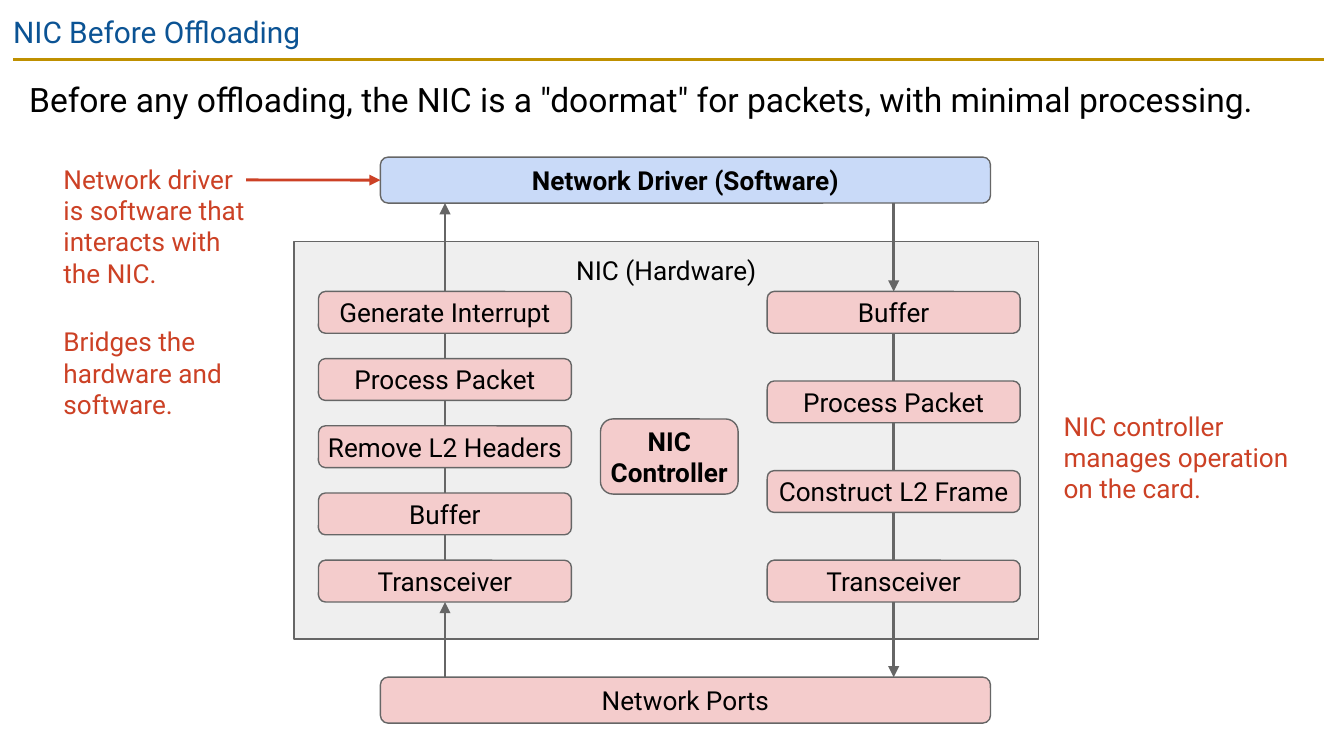
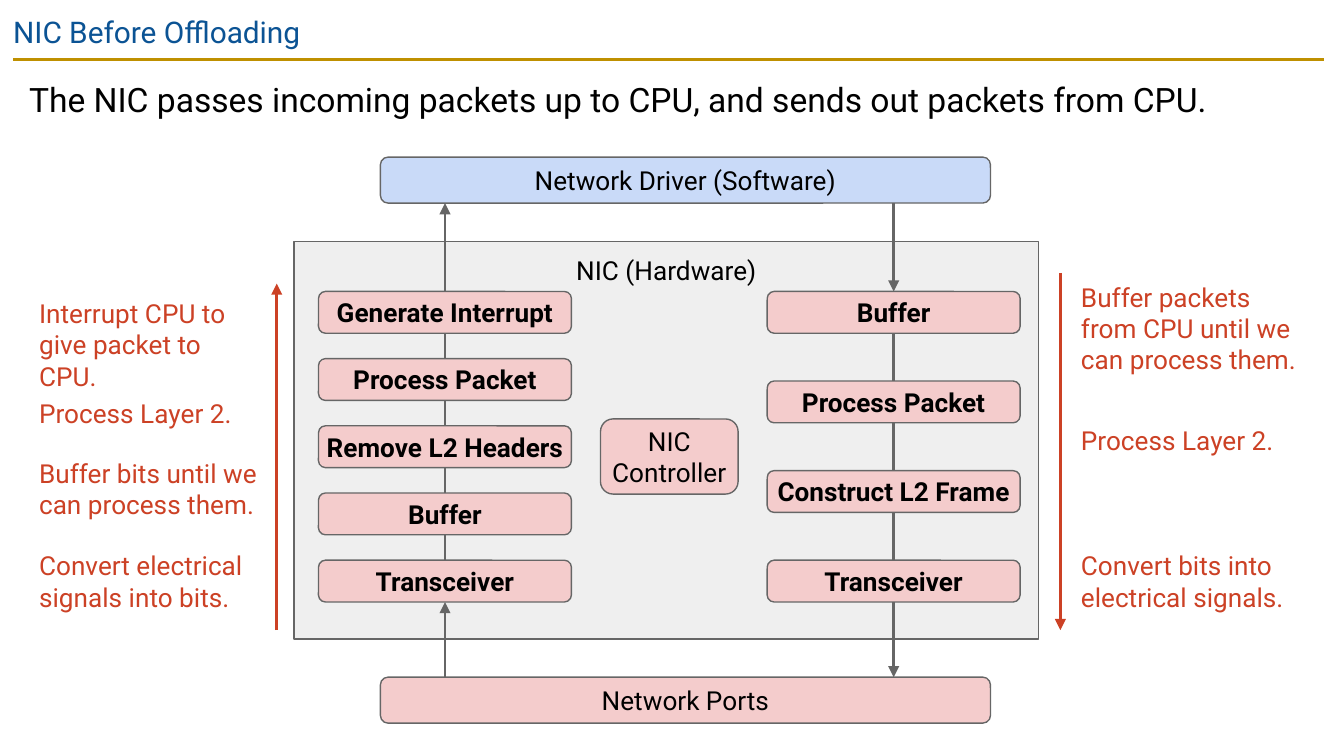
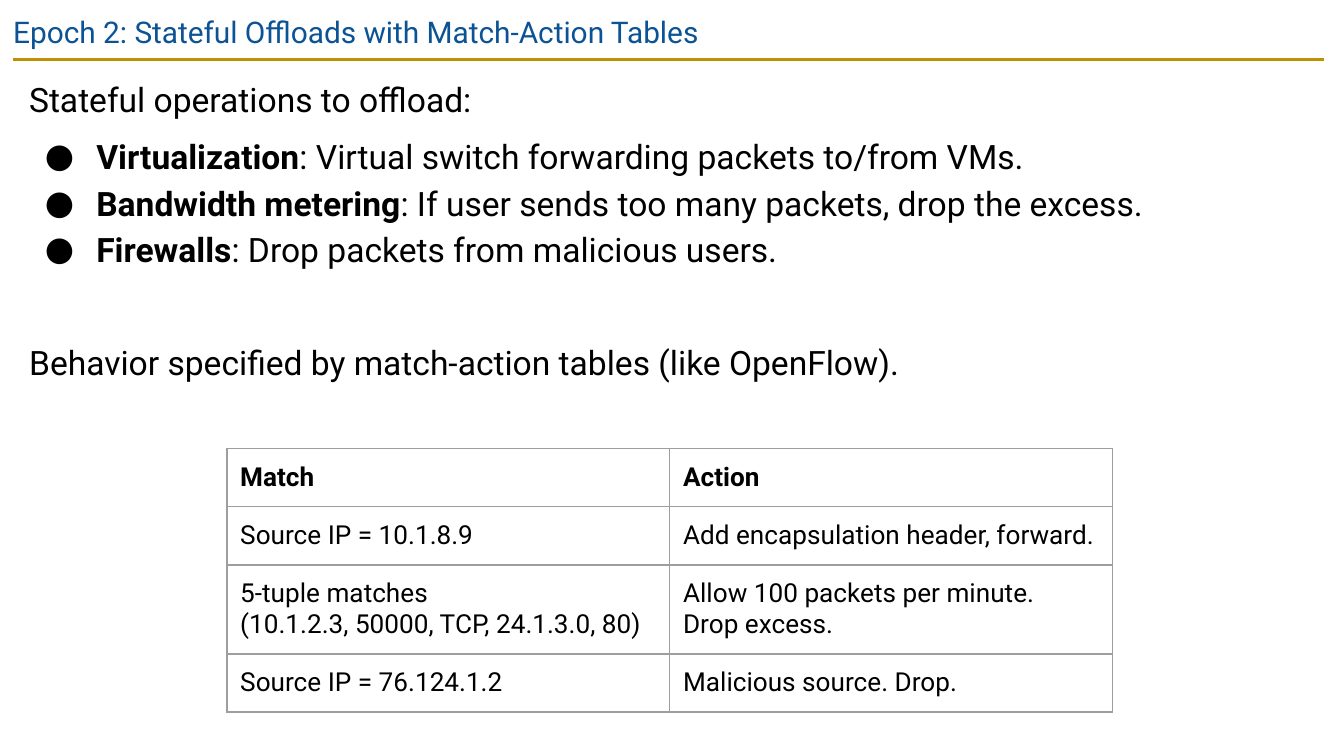
from lxml import etree
from pptx import Presentation
from pptx.dml.color import RGBColor
from pptx.enum.shapes import MSO_CONNECTOR as CXN, MSO_SHAPE as SHAPE
from pptx.enum.text import MSO_ANCHOR as ANCHOR, MSO_AUTO_SIZE as AUTO, PP_ALIGN as ALIGN
from pptx.oxml.ns import qn
from pptx.util import Cm, Pt

COLORS = {
    "title": "0B5394", "rule": "BF9000", "text": "000000", "note": "CC4125",
    "outline": "666666", "card": "EFEFEF", "hardware": "F4CCCC",
    "software": "C9DAF8", "grid": "9E9E9E",
}
FONT = "Roboto"
TOP, LEFT, BOTTOM = 0, 1, 2  # connection sites

# Diagram geometry in cm
BAR_X, BAR_W, BAR_H = 7.19, 11.53, 0.87
DRIVER_Y, PORTS_Y = 2.97, 12.8
STEP_W, STEP_H = 4.78, 0.79
FIRST_STEP_Y, LAST_STEP_Y = 5.51, 10.59

RECEIVE = ["Generate Interrupt", "Process Packet", "Remove L2 Headers", "Buffer", "Transceiver"]
SEND = ["Buffer", "Process Packet", "Construct L2 Frame", "Transceiver"]


def rgb(name):
    return RGBColor.from_string(COLORS[name])


class Deck:
    def __init__(self):
        self.prs = Presentation()
        self.prs.slide_width, self.prs.slide_height = Cm(25.4), Cm(14.29)
        self.layout = self.prs.slide_layouts[1]
        self.s = None

    def slide(self, title):
        first = self.s is None
        self.s = self.prs.slides.add_slide(self.layout)
        if first:
            self.add_rule_to_layout()
        tf = self.place(self.s.shapes.title, 0, 0, 25.4, 1.09)
        tf.text = title
        self.style(tf, 16, "title", align=ALIGN.LEFT)

    def add_rule_to_layout(self):
        rule = self.line(0.25, 1.12, 25.02, 1.12, "rule")
        self.layout.shapes.element.append(rule.element)

    def place(self, sp, x, y, w, h):
        """Position a placeholder and return its prepared text frame."""
        sp.left, sp.top, sp.width, sp.height = Cm(x), Cm(y), Cm(w), Cm(h)
        return self.frame(sp.text_frame, 0.25)

    def frame(self, tf, inset, anchor=ANCHOR.TOP, auto=AUTO.NONE):
        tf.margin_left = tf.margin_right = tf.margin_top = tf.margin_bottom = Cm(inset)
        tf.word_wrap, tf.auto_size, tf.vertical_anchor = True, auto, anchor
        return tf

    def style(self, tf, size=14, color="text", bold=False, align=None):
        for p in tf.paragraphs:
            p.alignment = align
            for r in p.runs:
                self.style_run(r, size, color, bold)

    def style_run(self, r, size, color="text", bold=False):
        r.font.name, r.font.size, r.font.bold = FONT, Pt(size), bold
        r.font.color.rgb = rgb(color)

    def body(self, paragraphs, height=1.68):
        """Fill the body from (text, is_bullet, space_before); bullets get a bold lead."""
        tf = self.place(self.s.placeholders[1], 0.3, 1.12, 24.74, height)
        for i, (text, bullet, before) in enumerate(paragraphs):
            p = tf.add_paragraph() if i else tf.paragraphs[0]
            p.line_spacing, p.space_before = 1.15, Pt(before)
            lead, colon, rest = text.partition(":") if bullet else ("", "", text)
            for part, bold in ((lead, True), (colon + rest, False)):
                if part:
                    r = p.add_run()
                    r.text = part
                    self.style_run(r, 18, bold=bold)
            self.bullet(p, bullet)

    def bullet(self, p, shown):
        pPr = p._p.get_or_add_pPr()
        pPr.set("marL", str(Cm(1.27) if shown else 0))
        pPr.set("indent", str(Cm(-0.97) if shown else 0))
        if shown:
            clr = etree.SubElement(pPr, qn("a:buClr"))
            etree.SubElement(clr, qn("a:srgbClr"), val=COLORS["text"])
            etree.SubElement(pPr, qn("a:buFont"), typeface=FONT)
            etree.SubElement(pPr, qn("a:buChar"), char="●")
        else:
            etree.SubElement(pPr, qn("a:buNone"))

    def box(self, text, x, y, w, h, fill="hardware", bold=False, shape=SHAPE.ROUNDED_RECTANGLE,
            inset=0.08, anchor=ANCHOR.MIDDLE):
        sp = self.s.shapes.add_shape(shape, Cm(x), Cm(y), Cm(w), Cm(h))
        sp.shadow.inherit = False
        sp.fill.solid()
        sp.fill.fore_color.rgb = rgb(fill)
        sp.line.color.rgb, sp.line.width = rgb("outline"), Pt(0.75)
        tf = self.frame(sp.text_frame, inset, anchor)
        tf.text = text
        self.style(tf, bold=bold, align=ALIGN.CENTER)
        return sp

    def line(self, x1, y1, x2, y2, color="outline", arrow=False, begin=None, end=None):
        """Draw a line; begin and end are optional (shape, site) joins."""
        c = self.s.shapes.add_connector(CXN.STRAIGHT, Cm(x1), Cm(y1), Cm(x2), Cm(y2))
        c.line.color.rgb, c.line.width = rgb(color), Pt(1.5)
        if begin:
            c.begin_connect(*begin)
        if end:
            c.end_connect(*end)
        if arrow:
            etree.SubElement(c.line._get_or_add_ln(), qn("a:tailEnd"), type="triangle")
        etree.SubElement(c.element.spPr, qn("a:effectLst"))
        return c

    def note(self, text, x, y, w, h):
        sp = self.s.shapes.add_textbox(Cm(x), Cm(y), Cm(w), Cm(h))
        tf = self.frame(sp.text_frame, 0.08, auto=AUTO.SHAPE_TO_FIT_TEXT)
        tf.text = text
        self.style(tf, color="note")
        for p in tf.paragraphs[1:]:
            p.space_before = Pt(20)

    def table(self, rows, x, y, col_w, heights):
        n = len(rows[0])
        frame = self.s.shapes.add_table(len(rows), n, Cm(x), Cm(y), Cm(col_w * n), Cm(sum(heights)))
        tbl = frame.table
        tbl.first_row = tbl.horz_banding = False
        for col in tbl.columns:
            col.width = Cm(col_w)
        for i, (row, height) in enumerate(zip(rows, heights)):
            tbl.rows[i].height = Cm(height)
            for j, text in enumerate(row):
                self.cell(tbl.cell(i, j), text, bold=i == 0)

    def cell(self, cell, text, bold):
        cell.margin_left = cell.margin_right = cell.margin_top = cell.margin_bottom = Cm(0.25)
        cell.text_frame.text = text
        self.style(cell.text_frame, bold=bold)
        tcPr = cell._tc.get_or_add_tcPr()
        for side in ("lnL", "lnR", "lnT", "lnB"):
            ln = etree.SubElement(tcPr, qn(f"a:{side}"), w=str(Pt(0.75)))
            fill = etree.SubElement(ln, qn("a:solidFill"))
            etree.SubElement(fill, qn("a:srgbClr"), val=COLORS["grid"])
        cell.fill.background()

    def pipeline(self, steps, x, upward, bold):
        """Stack the steps evenly and join them to the driver and the ports."""
        pitch = (LAST_STEP_Y - FIRST_STEP_Y) / (len(steps) - 1)
        boxes = [self.box(step, x, FIRST_STEP_Y + i * pitch, STEP_W, STEP_H, bold=bold)
                 for i, step in enumerate(steps)]
        mid = x + STEP_W / 2
        for i, (upper, lower) in enumerate(zip(boxes, boxes[1:])):
            y = FIRST_STEP_Y + i * pitch
            self.line(mid, y + STEP_H, mid, y + pitch, begin=(upper, BOTTOM), end=(lower, TOP))
        driver_y, last_y = DRIVER_Y + BAR_H, LAST_STEP_Y + STEP_H
        first, last = (boxes[0], TOP), (boxes[-1], BOTTOM)
        if upward:
            self.line(mid, FIRST_STEP_Y, mid, driver_y, arrow=True, begin=first)
            self.line(mid, PORTS_Y, mid, last_y, arrow=True, end=last)
        else:
            self.line(mid, driver_y, mid, FIRST_STEP_Y, arrow=True, end=first)
            self.line(mid, last_y, mid, PORTS_Y, arrow=True, begin=last)

    def nic_diagram(self, bold_steps):
        """Draw the NIC with either its steps or its managing parts in bold; return the driver."""
        self.box("NIC (Hardware)", 5.56, 4.56, 14.07, 7.52, "card", shape=SHAPE.RECTANGLE,
                 inset=0.25, anchor=ANCHOR.TOP)
        driver = self.box("Network Driver (Software)", BAR_X, DRIVER_Y, BAR_W, BAR_H, "software",
                          bold=not bold_steps)
        self.box("Network Ports", BAR_X, PORTS_Y, BAR_W, BAR_H)
        self.pipeline(RECEIVE, 6.02, True, bold_steps)
        self.pipeline(SEND, 14.5, False, bold_steps)
        self.box("NIC Controller", 11.35, 7.92, 2.6, 1.42, bold=not bold_steps)
        return driver


def doormat_slide(deck):
    deck.slide("NIC Before Offloading")
    deck.body([('Before any offloading, the NIC is a "doormat" for packets, with minimal processing.',
                False, 6)])
    driver = deck.nic_diagram(bold_steps=False)
    deck.note("Network driver is software that interacts with the NIC.\n"
              "Bridges the hardware and software.", 1.12, 3, 3.66, 4.7)
    deck.line(4.65, 3.4, BAR_X, 3.4, "note", arrow=True, end=(driver, LEFT))
    deck.note("NIC controller manages operation on the card.", 20.02, 7.67, 4.47, 1.96)


def packet_flow_slide(deck):
    deck.slide("NIC Before Offloading")
    deck.body([("The NIC passes incoming packets up to CPU, and sends out packets from CPU.",
                False, 6)])
    deck.nic_diagram(bold_steps=True)
    receive_x, send_x = 0.66, 20.35
    for text, x, y, w, h in [
        ("Interrupt CPU to give packet to CPU.", receive_x, 5.54, 4.42, 1.35),
        ("Process Layer 2.", receive_x, 7.44, 4.04, 0.76),
        ("Buffer bits until we can process them.", receive_x, 8.56, 4.42, 1.35),
        ("Convert electrical signals into bits.", receive_x, 10.31, 4.42, 1.35),
        ("Buffer packets from CPU until we can process them.", send_x, 5.23, 4.42, 1.96),
        ("Process Layer 2.", send_x, 7.95, 4.04, 0.76),
        ("Convert bits into electrical signals.", send_x, 10.31, 4.14, 1.35),
    ]:
        deck.note(text, x, y, w, h)
    deck.line(5.23, 11.91, 5.23, 5.36, "note", arrow=True)
    deck.line(20.04, 5.16, 20.04, 11.91, "note", arrow=True)


def match_action_slide(deck):
    deck.slide("Epoch 2: Stateful Offloads with Match-Action Tables")
    deck.body([
        ("Stateful operations to offload:", False, 6),
        ("Virtualization: Virtual switch forwarding packets to/from VMs.", True, 6),
        ("Bandwidth metering: If user sends too many packets, drop the excess.", True, 0),
        ("Firewalls: Drop packets from malicious users.", True, 0),
        ("Behavior specified by match-action tables (like OpenFlow).", False, 36),
    ], height=6.6)
    deck.table([
        ("Match", "Action"),
        ("Source IP = 10.1.8.9", "Add encapsulation header, forward."),
        ("5-tuple matches\v(10.1.2.3, 50000, TCP, 24.1.3.0, 80)",
         "Allow 100 packets per minute.\vDrop excess."),
        ("Source IP = 76.124.1.2", "Malicious source. Drop."),
    ], 4.29, 8.48, 8.37, [1.1, 1.1, 1.68, 1.1])


def main():
    deck = Deck()
    doormat_slide(deck)
    packet_flow_slide(deck)
    match_action_slide(deck)
    deck.prs.save("out.pptx")


if __name__ == "__main__":
    main()
